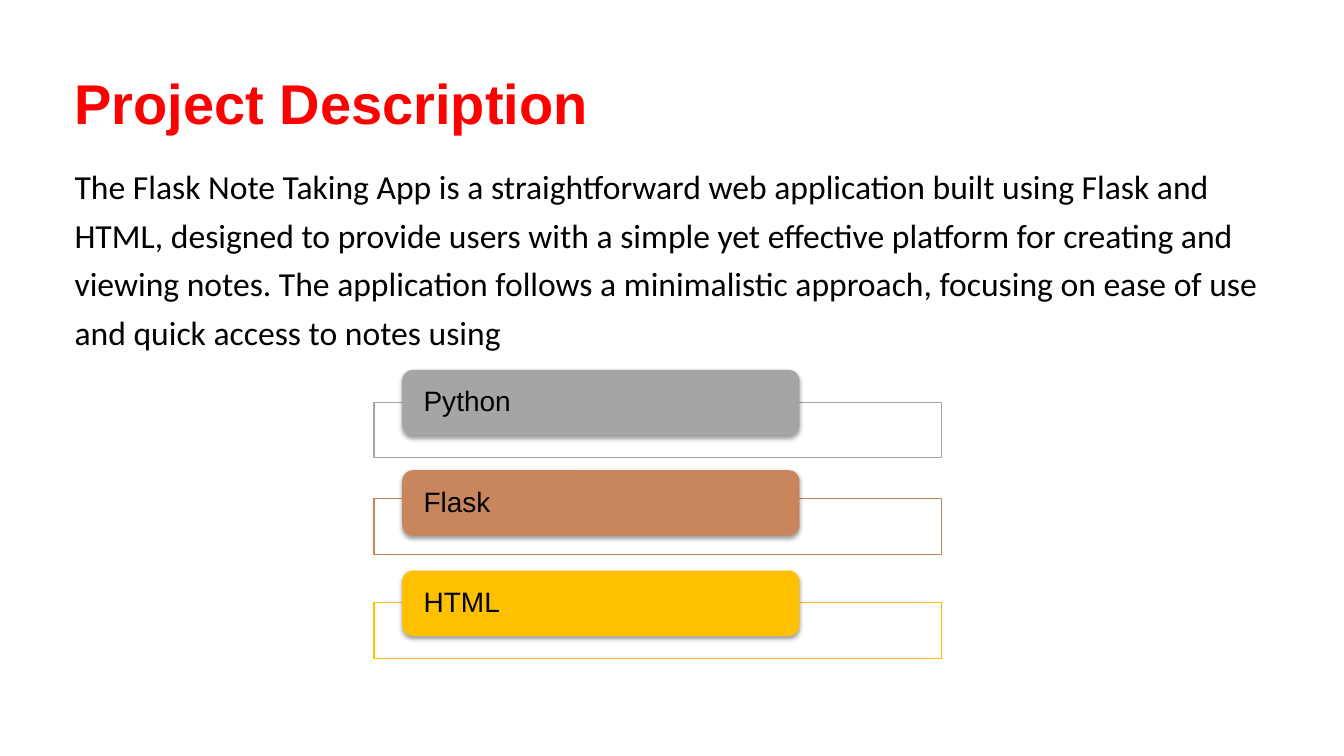
from dataclasses import dataclass

from lxml.etree import SubElement
from pptx import Presentation
from pptx.dml.color import RGBColor
from pptx.enum.shapes import MSO_SHAPE as Preset
from pptx.enum.text import MSO_ANCHOR as Anchor, MSO_AUTO_SIZE as AutoSize, PP_ALIGN as Align
from pptx.oxml.ns import qn
from pptx.shapes.autoshape import Shape
from pptx.slide import Slide
from pptx.util import Inches, Pt

SLIDE_WIDTH, SLIDE_HEIGHT = Inches(13.33), Inches(7.5)
RED = RGBColor(0xFF, 0x00, 0x00)
BLACK = RGBColor(0x00, 0x00, 0x00)
WHITE = RGBColor(0xFF, 0xFF, 0xFF)
GREY = RGBColor(0xA5, 0xA5, 0xA5)
COPPER = RGBColor(0xC9, 0x86, 0x5C)
AMBER = RGBColor(0xFF, 0xC0, 0x00)

FIRST_TAB_TOP, TAB_PITCH = 48.93, 13.27
DESCRIPTION = (
    "The Flask Note Taking App is a straightforward web application built using Flask and HTML, "
    "designed to provide users with a simple yet effective platform for creating and viewing notes. "
    "The application follows a minimalistic approach, focusing on ease of use and quick access "
    "to notes using"
)


@dataclass(frozen=True)
class Area:
    """A rectangle in percent of the slide's width and height."""

    left: float
    top: float
    width: float
    height: float

    def lengths(self) -> tuple[int, int, int, int]:
        """Return the left, top, width and height in slide units."""
        return (
            round(SLIDE_WIDTH * self.left / 100),
            round(SLIDE_HEIGHT * self.top / 100),
            round(SLIDE_WIDTH * self.width / 100),
            round(SLIDE_HEIGHT * self.height / 100),
        )


@dataclass(frozen=True)
class Technology:
    """A named tab and the top of the outline behind it."""

    name: str
    color: RGBColor
    outline_top: float


TECHNOLOGIES = (
    Technology("Python", GREY, 53.2),
    Technology("Flask", COPPER, 66),
    Technology("HTML", AMBER, 79.73),
)


def write(box: Shape, text: str, *, font: str, size: float, color: RGBColor = BLACK,
          bold: bool = False, line_spacing: float = 1, space_before: float = 0) -> None:
    """Fill a box with one left-aligned, unbulleted paragraph."""
    box.text_frame.word_wrap = True
    para = box.text_frame.paragraphs[0]
    para.alignment = Align.LEFT
    para.line_spacing = line_spacing
    para.space_before = Pt(space_before)
    properties = para._p.get_or_add_pPr()
    properties.set("marL", "0")
    properties.set("indent", "0")
    SubElement(properties, qn("a:buNone"))
    span = para.add_run()
    span.text = text
    span.font.name, span.font.size, span.font.bold = font, Pt(size), bold
    span.font.color.rgb = color


def place(box: Shape, area: Area) -> None:
    """Move a placeholder to an area and let it grow with its text."""
    box.left, box.top, box.width, box.height = area.lengths()
    box.text_frame.auto_size = AutoSize.SHAPE_TO_FIT_TEXT


def add_panel(page: Slide, preset: Preset, area: Area, fill: RGBColor) -> Shape:
    """Add a filled shape without a line or a shadow."""
    panel = page.shapes.add_shape(preset, *area.lengths())
    panel.shadow.inherit = False
    panel.fill.solid()
    panel.fill.fore_color.rgb = fill
    panel.line.fill.background()
    return panel


def add_outline(page: Slide, technology: Technology) -> None:
    """Add the translucent outlined rectangle behind a tab."""
    outline = add_panel(page, Preset.RECTANGLE, Area(27.83, technology.outline_top, 42.24, 7.33), WHITE)
    outline.line.color.rgb = technology.color
    outline.line.width = Pt(0.75)
    fill_color = outline._element.spPr.find(f"{qn('a:solidFill')}/{qn('a:srgbClr')}")
    SubElement(fill_color, qn("a:alpha"), val="90000")


def add_tab(page: Slide, technology: Technology, top: float) -> None:
    """Add the rounded, shadowed tab that names a technology."""
    tab = add_panel(page, Preset.ROUNDED_RECTANGLE, Area(29.93, top, 29.56, 8.67), technology.color)
    effects = tab._element.spPr.find(qn("a:effectLst"))
    shadow = SubElement(effects, qn("a:outerShdw"), blurRad="40000", dist="20000",
                        dir="5400000", rotWithShape="0")
    shadow_color = SubElement(shadow, qn("a:srgbClr"), val=str(BLACK))
    SubElement(shadow_color, qn("a:alpha"), val="38000")
    frame = tab.text_frame
    frame.vertical_anchor = Anchor.MIDDLE
    frame.margin_left = frame.margin_right = Inches(0.18)
    frame.margin_top = frame.margin_bottom = 0
    write(tab, technology.name, font="Arial", size=20, line_spacing=0.9)


def main() -> None:
    """Build the project description slide."""
    deck = Presentation()
    deck.slide_width, deck.slide_height = SLIDE_WIDTH, SLIDE_HEIGHT
    page = deck.slides.add_slide(deck.slide_layouts[1])
    title, body = page.shapes.title, page.placeholders[1]
    place(title, Area(4.8, 8.4, 44.11, 10.27))
    write(title, "Project Description", font="Arial", size=40, color=RED, bold=True)
    place(body, Area(4.8, 20.27, 91.6, 26.67))
    write(body, DESCRIPTION, font="Calibri", size=24, line_spacing=1.2, space_before=8)
    for row, technology in enumerate(TECHNOLOGIES):
        add_outline(page, technology)
        add_tab(page, technology, FIRST_TAB_TOP + row * TAB_PITCH)
    deck.save("out.pptx")


if __name__ == "__main__":
    main()
